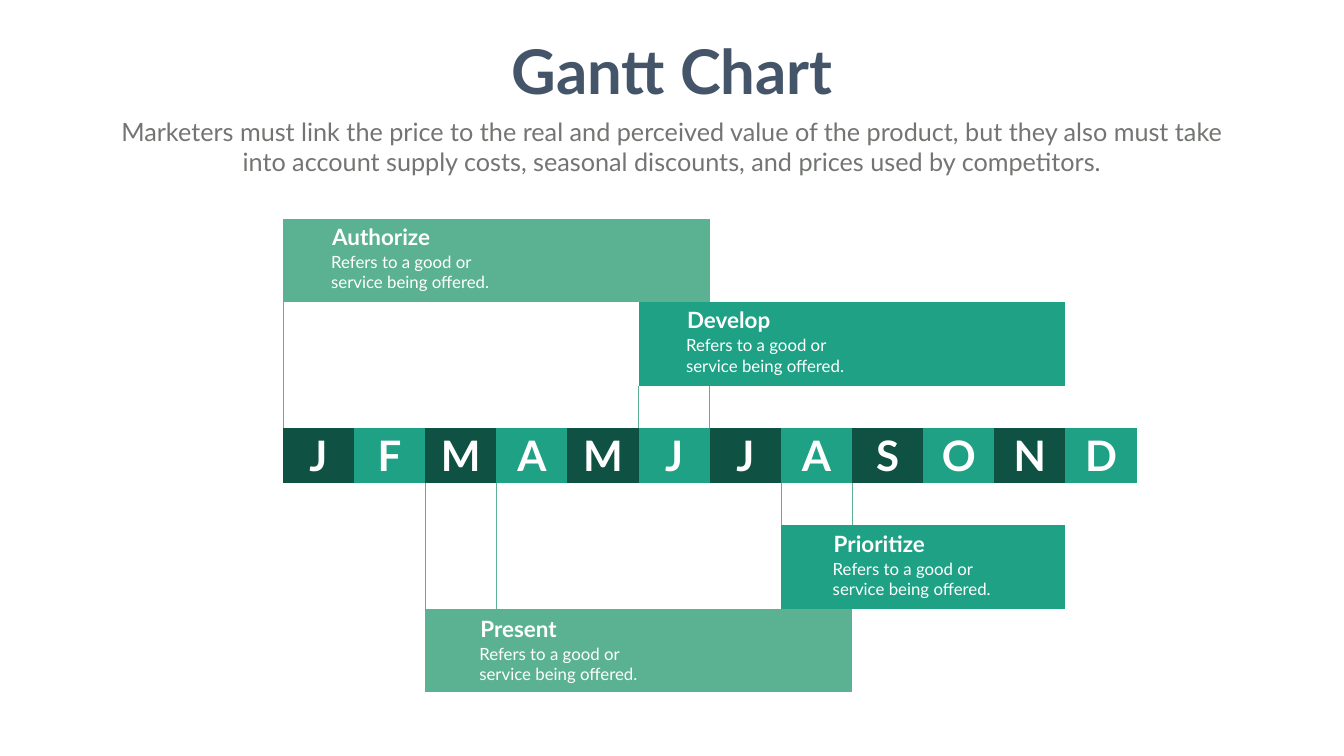
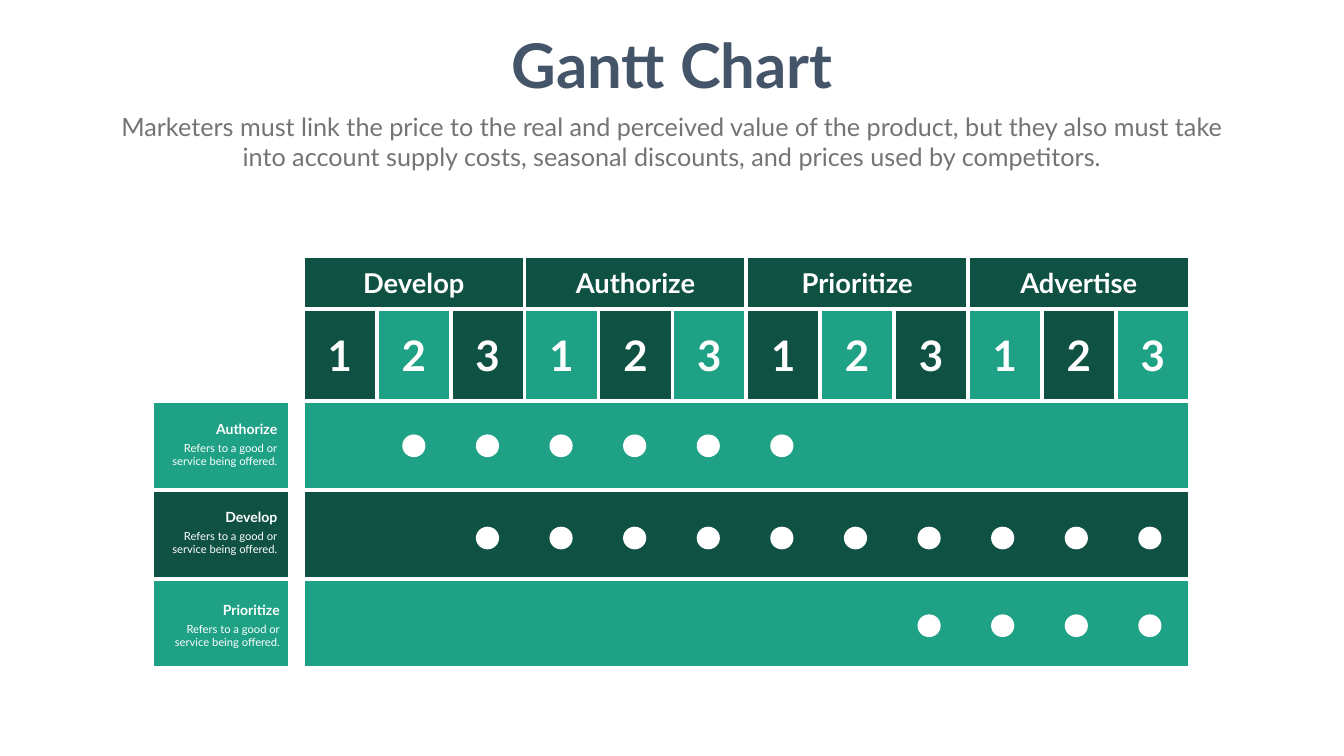
from lxml.etree import Element, SubElement
from pptx import Presentation
from pptx.dml.color import RGBColor
from pptx.enum.shapes import MSO_SHAPE
from pptx.enum.text import MSO_ANCHOR, MSO_AUTO_SIZE, PP_ALIGN
from pptx.oxml.ns import qn
from pptx.util import Emu, Pt

SCALE = 9144  # EMU per px, 100 px to the inch
COLORS = {
    "white": "FFFFFF",
    "slate": "445469",
    "grey": "737572",
    "mint": "5BB292",
    "green": "1EA185",
    "dark": "0F5142",
}
FORMATS = {
    "title": {"size": 88, "bold": True, "color": "slate", "align": "CENTER"},
    "lead": {"size": 36, "bold": False, "color": "grey", "align": "CENTER"},
    "month": {"size": 60, "bold": True, "color": "white", "align": "CENTER"},
    "phase": {"size": 39, "bold": True, "color": "white", "align": "CENTER"},
    "task": {"size": 32, "bold": True, "color": "white", "align": "LEFT"},
    "note": {"size": 24, "bold": False, "color": "white", "align": "LEFT"},
    "name": {"size": 20, "bold": True, "color": "white", "align": "RIGHT"},
    "hint": {"size": 16, "bold": False, "color": "white", "align": "RIGHT"},
}
NO_STYLE = "{2D5ABB26-0587-4C30-8999-92F81FD0307C}"
TITLE = "Gantt Chart"
LEAD = ("Marketers must link the price to the real and perceived value of the "
        "product, but they also must take into account supply costs, seasonal "
        "discounts, and prices used by competitors.")
NOTE = ("Refers to a good or", "service being offered.")


def px(value):
    return Emu(round(value * SCALE))


def color(name):
    return RGBColor.from_string(COLORS[name])


class Deck:
    """Holds the style and the current slide."""

    def __init__(self, width, height):
        self.show = Presentation()
        self.show.slide_width, self.show.slide_height = px(width), px(height)
        self.slide = None

    def page(self, top):
        """Start a slide with its title and lead text."""
        self.slide = self.show.slides.add_slide(self.show.slide_layouts[6])
        self.text((997, top, 673, 158), [TITLE], "title", wrap=False)
        self.text((222, top + 166, 2221, 131), [LEAD], "lead")

    def label(self, frame, lines, style):
        look = dict(FORMATS[style], name="Lato")
        tone, align = look.pop("color"), look.pop("align")
        look["size"] = Pt(look["size"])
        for num, line in enumerate(lines):
            para = frame.add_paragraph() if num else frame.paragraphs[0]
            para.alignment = PP_ALIGN[align]
            run = para.add_run()
            run.text = line
            for key, value in look.items():
                setattr(run.font, key, value)
            run.font.color.rgb = color(tone)

    def text(self, box, lines, style, wrap=True):
        frame = self.slide.shapes.add_textbox(*map(px, box)).text_frame
        frame.word_wrap = wrap
        frame.auto_size = MSO_AUTO_SIZE.SHAPE_TO_FIT_TEXT
        self.label(frame, lines, style)

    def grid(self, left, top, widths, heights):
        """Add a plain table without fills or borders."""
        size = (left, top, sum(widths), sum(heights))
        shape = self.slide.shapes.add_table(
            len(heights), len(widths), *map(px, size))
        for tag in shape.element.iter(qn("a:tableStyleId")):
            tag.text = NO_STYLE
        table = shape.table
        table.first_row = table.horz_banding = False
        for col, width in zip(table.columns, widths):
            col.width = px(width)
        for row, height in zip(table.rows, heights):
            row.height = px(height)
        for cell in table.iter_cells():
            cell.fill.background()
        return table

    def edge(self, cell, side, tone, points):
        line = Element(qn(f"a:ln{side}"), w=str(Pt(points)))
        fill = SubElement(line, qn("a:solidFill"))
        SubElement(fill, qn("a:srgbClr"), val=COLORS[tone])
        cell._tc.get_or_add_tcPr().insert(0, line)

    def block(self, table, row, col, rows, cols, fill, word=None, style=None):
        """Fill a cell, merged over rows and cols, and label it."""
        cell = table.cell(row, col)
        if rows * cols > 1:
            cell.merge(table.cell(row + rows - 1, col + cols - 1))
        cell.fill.solid()
        cell.fill.fore_color.rgb = color(fill)
        if word:
            cell.vertical_anchor = MSO_ANCHOR.MIDDLE
            self.label(cell.text_frame, [word], style)

    def dot(self, left, top):
        shape = self.slide.shapes.add_shape(
            MSO_SHAPE.OVAL, *map(px, (left, top, 46, 45)))
        shape.shadow.inherit = False
        shape.fill.solid()
        shape.fill.fore_color.rgb = color("white")
        shape.line.fill.background()


def year(deck):
    """Months in a row, with task bars above and below."""
    deck.page(60)
    heights = [83] * 5 + [109] + [83] * 5
    table = deck.grid(561, 434, [1694 / 12] * 12, heights)

    # Lines from bars to months: column, first row, last row
    for col, first, last in ((0, 2, 4), (5, 4, 4), (2, 6, 8), (7, 6, 6)):
        for row in range(first, last + 1):
            deck.edge(table.cell(row, col), "L", "mint", 1)
            if col:
                deck.edge(table.cell(row, col - 1), "R", "mint", 1)

    # Months
    for col, word in enumerate("JFMAMJJASOND"):
        tone = "green" if col % 2 else "dark"
        deck.block(table, 5, col, 1, 1, tone, word, "month")

    # Bars: name, row, column, months, fill, then left, top and width of name
    bars = (
        ("Authorize", 0, 0, 6, "mint", 649, 437, 217),
        ("Develop", 2, 5, 6, "green", 1353, 603, 188),
        ("Prioritize", 7, 7, 4, "green", 1644, 1046, 203),
        ("Present", 9, 2, 6, "mint", 943, 1215, 174),
    )
    for word, row, col, span, tone, left, top, width in bars:
        deck.block(table, row, col, 2, span, tone)
        deck.text((left - 2, top + 57, 392, 91), [" ".join(NOTE)], "note")
        deck.text((left, top, width, 64), [word], "task", wrap=False)


def plan(deck):
    """Phases of three steps, with one row of dots for each task."""
    deck.page(49)
    widths = [273, 25] + [1759 / 12] * 12
    table = deck.grid(302, 508, widths, [105, 182] + [177] * 3)
    for cell in table.iter_cells():
        cell.margin_left = cell.margin_right = px(11)
        for side in "BTRL":
            deck.edge(cell, side, "white", 6)
    table.cell(1, 1).merge(table.cell(4, 1))

    # Phases and their steps
    phases = ("Develop", "Authorize", "Prioritize", "Advertise")
    for num, word in enumerate(phases):
        deck.block(table, 0, 2 + 3 * num, 1, 3, "dark", word, "phase")
    for step in range(12):
        tone = "green" if step % 2 else "dark"
        deck.block(table, 1, 2 + step, 1, 1, tone, str(step % 3 + 1), "month")

    # Tasks: name, fill, right edge, top and width of name, steps, top of dots
    tasks = (
        ("Authorize", "green", 560, 830, 143, range(1, 7), 862),
        ("Develop", "dark", 560, 1005, 125, range(2, 12), 1045),
        ("Prioritize", "green", 565, 1189, 135, range(8, 12), 1219),
    )
    for row, (word, tone, right, top, width, steps, high) in enumerate(tasks, 2):
        deck.block(table, row, 0, 1, 1, tone)
        deck.block(table, row, 2, 1, 12, tone)
        deck.text((right - 233, top + 40, 233, 64), NOTE, "hint")
        deck.text((right - width, top, width, 44), [word], "name", wrap=False)
        for step in steps:
            deck.dot(652 + 146 * step, high)


def main():
    deck = Deck(2666, 1500)
    year(deck)
    plan(deck)
    deck.show.save("out.pptx")


if __name__ == "__main__":
    main()
